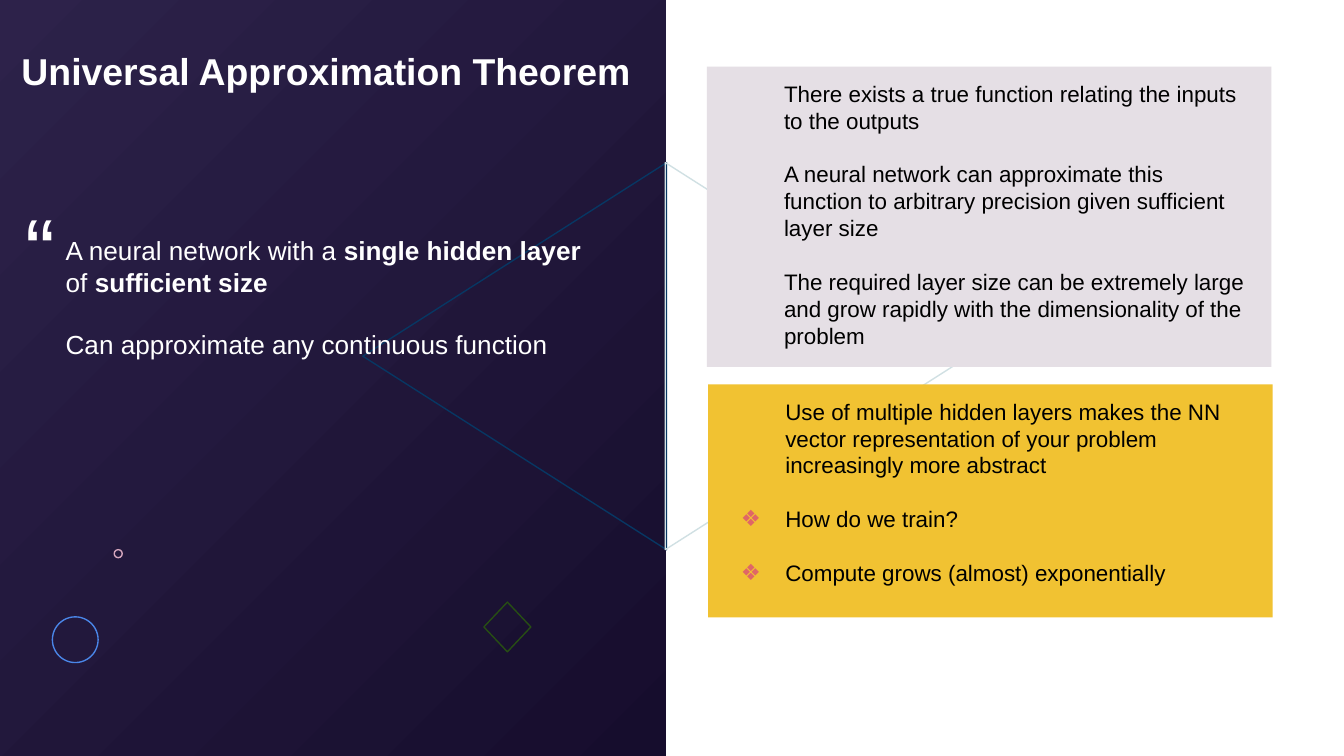
from lxml.etree import SubElement
from pptx import Presentation
from pptx.dml.color import RGBColor
from pptx.enum.shapes import MSO_SHAPE
from pptx.enum.text import MSO_ANCHOR, MSO_AUTO_SIZE, PP_ALIGN
from pptx.oxml.ns import qn
from pptx.util import Emu, Pt

PX = 4572
FONT = "Arial"
WHITE, BLACK, ROSE = "FFFFFF", "000000", "E06666"
TEXT_INDENT, BULLET_HANG = 100, 66


def px(length):
    return Emu(length * PX)


def colour(value):
    return RGBColor.from_string(value)


def add_outline(slide, kind, box, line, rotation=0):
    outline = slide.shapes.add_shape(kind, *map(px, box))
    outline.shadow.inherit = False
    outline.fill.background()
    outline.line.color.rgb = colour(line)
    outline.line.width = Pt(0.75)
    outline.rotation = rotation


def add_panel(slide, box):
    panel = slide.shapes.add_shape(MSO_SHAPE.RECTANGLE, *map(px, box))
    panel.shadow.inherit = False
    panel.line.fill.background()
    return panel


def add_card(slide, box, fill):
    card = add_panel(slide, box)
    card.fill.solid()
    card.fill.fore_color.rgb = colour(fill)


def add_backdrop(slide, box, start, end):
    backdrop = add_panel(slide, box)
    backdrop.fill.gradient()
    backdrop.fill.gradient_angle = 315
    for stop, shade in zip(backdrop.fill.gradient_stops, (start, end)):
        stop.color.rgb = colour(shade)
    slide.shapes.title._element.addprevious(backdrop._element)


def add_bullet(paragraph, symbol):
    properties = paragraph._p.get_or_add_pPr()
    properties.set("indent", str(-px(BULLET_HANG)))
    tint = SubElement(properties, qn("a:buClr"))
    SubElement(tint, qn("a:srgbClr"), val=ROSE)
    SubElement(properties, qn("a:buFont"), typeface=FONT)
    SubElement(properties, qn("a:buChar"), char=symbol)


def write_text(frame, statements, size, ink, indent=0, bullets_from=None, bold=False):
    frame.word_wrap = True
    frame.auto_size = MSO_AUTO_SIZE.NONE
    frame.vertical_anchor = MSO_ANCHOR.TOP
    frame.margin_left = frame.margin_right = px(20)
    frame.margin_top = frame.margin_bottom = px(20)
    frame.text = "\n".join(statements)
    for index, (paragraph, statement) in enumerate(zip(frame.paragraphs, statements)):
        paragraph.alignment = PP_ALIGN.LEFT
        paragraph._p.get_or_add_pPr().set("marL", str(px(indent)))
        if bullets_from is not None and index >= bullets_from:
            add_bullet(paragraph, "❖")
        paragraph.space_before = Pt(size * 1.2 if index else 0)
        paragraph.text = ""
        for position, part in enumerate(statement.split("**")):
            if not part:
                continue
            run = paragraph.add_run()
            run.text = part
            run.font.name = FONT
            run.font.size = Pt(size)
            run.font.bold = bold or position % 2 == 1
            run.font.color.rgb = colour(ink)


def add_text(slide, box, statements, size, ink, **options):
    frame = slide.shapes.add_textbox(*map(px, box)).text_frame
    write_text(frame, statements, size, ink, **options)


def set_title(slide, box, heading):
    title = slide.shapes.title
    title.left, title.top, title.width, title.height = map(px, box)
    write_text(title.text_frame, [heading], 20, WHITE, bold=True)


def main():
    presentation = Presentation()
    presentation.slide_width, presentation.slide_height = px(2000), px(1125)
    slide = presentation.slides.add_slide(presentation.slide_layouts[5])

    add_backdrop(slide, (-12, -8, 1003, 1150), "2D224A", "160D2D")
    set_title(slide, (12, 52, 1114, 108), "Universal Approximation Theorem")

    add_outline(slide, MSO_SHAPE.ISOSCELES_TRIANGLE, (478, 304, 576, 452), "073763", 270)
    add_text(slide, (78, 329, 848, 324), [
        "A neural network with a **single hidden layer** of **sufficient size**",
        "Can approximate any continuous function",
    ], 14, WHITE)
    add_outline(slide, MSO_SHAPE.OVAL, (170, 818, 12, 12), "D5A6BD")
    add_outline(slide, MSO_SHAPE.OVAL, (78, 918, 68, 68), "4A86E8")
    add_outline(slide, MSO_SHAPE.DIAMOND, (720, 896, 70, 74), "274E13", 180)
    add_outline(slide, MSO_SHAPE.ISOSCELES_TRIANGLE, (928, 304, 576, 452), "D0E0E3", 90)

    add_card(slide, (1052, 99, 840, 447), "E5DFE5")
    add_text(slide, (-82, 267, 190, 202), ["“"], 48, WHITE, indent=TEXT_INDENT)
    add_text(slide, (1047, 99, 830, 444), [
        "There exists a true function relating the inputs to the outputs",
        "A neural network can approximate this function to arbitrary precision "
        "given sufficient layer size",
        "The required layer size can be extremely large and grow rapidly with "
        "the dimensionality of the problem",
    ], 12, BLACK, indent=TEXT_INDENT)

    add_card(slide, (1054, 572, 840, 347), "F1C232")
    add_text(slide, (1049, 572, 830, 370), [
        "Use of multiple hidden layers makes the NN vector representation of "
        "your problem increasingly more abstract",
        "How do we train?",
        "Compute grows (almost) exponentially",
    ], 12, BLACK, indent=TEXT_INDENT, bullets_from=1)

    presentation.save("out.pptx")


if __name__ == "__main__":
    main()
